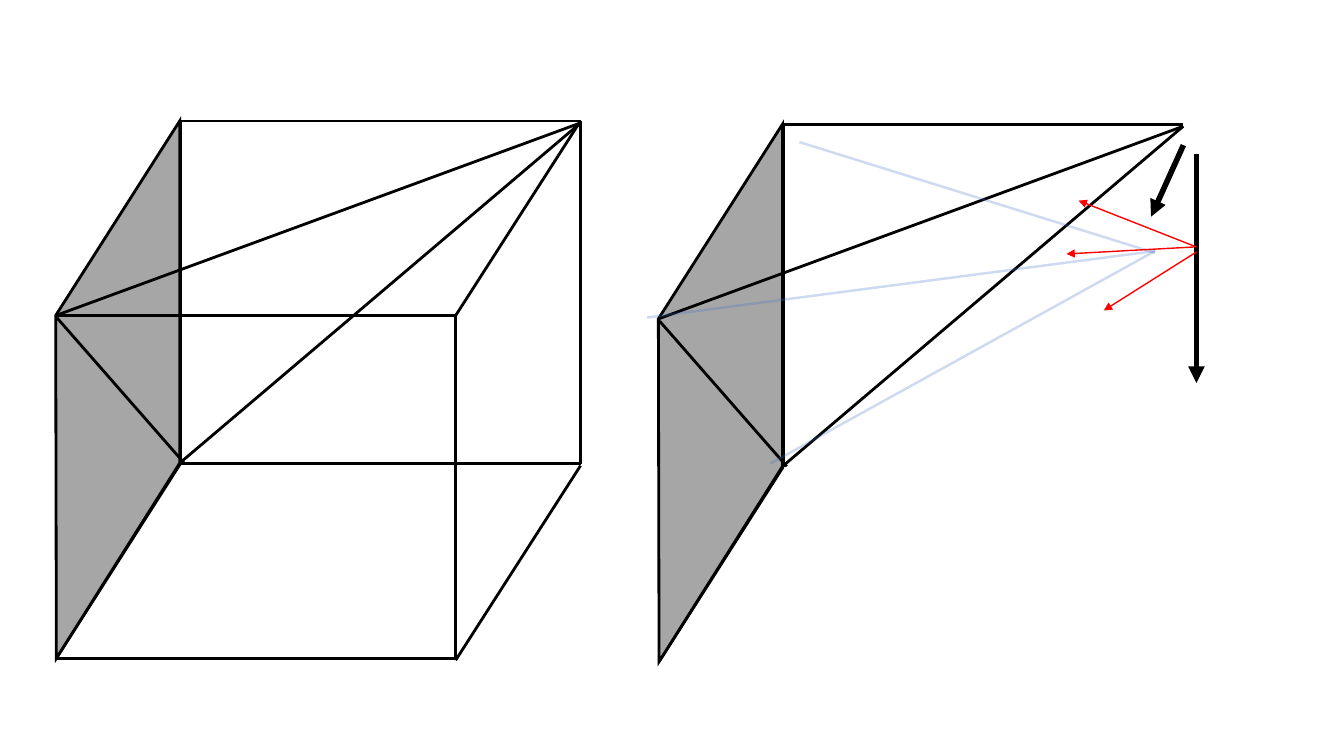
from lxml.etree import SubElement
from pptx import Presentation
from pptx.dml.color import RGBColor
from pptx.enum.shapes import MSO_CONNECTOR as Connector
from pptx.oxml.ns import qn
from pptx.util import Pt

BLACK, GREY, BLUE, RED = "000000", "A6A6A6", "4472C4", "FF0000"
LEFT, BACK_LEFT, RIGHT, BACK_RIGHT = 40.3, 128.9, 325.5, 414.7
BOTTOM, BACK_BOTTOM, TOP, BACK_TOP = 470.2, 331.2, 225.4, 86.4
PANEL = [(40.3, 470.2), (128.4, 330.8), (128.4, 86.4), (39.8, 225.4)]
APEX = (414.7, 87.8)
COPY_SHIFT = (430.5, 2.4)


def color(hex_text):
    return RGBColor.from_string(hex_text)


def moved(point, shift):
    return point[0] + shift[0], point[1] + shift[1]


def add_line(slide, start, end, line_color=BLACK, width=2, arrow=False, opacity=None):
    ends = [Pt(value) for value in (*start, *end)]
    connector = slide.shapes.add_connector(Connector.STRAIGHT, *ends)
    connector.line.color.rgb = color(line_color)
    connector.line.width = Pt(width)
    properties = connector._element.spPr
    outline = properties.find(qn("a:ln"))
    if opacity is not None:
        shade = outline.find(".//" + qn("a:srgbClr"))
        SubElement(shade, qn("a:alpha")).set("val", str(opacity * 1000))
    if arrow:
        SubElement(outline, qn("a:tailEnd")).set("type", "triangle")
    SubElement(properties, qn("a:effectLst"))


def add_panel(slide, points):
    corners = [(Pt(x), Pt(y)) for x, y in points]
    builder = slide.shapes.build_freeform(*corners[0])
    builder.add_line_segments(corners[1:], close=True)
    panel = builder.convert_to_shape()
    panel.shadow.inherit = False
    panel.fill.solid()
    panel.fill.fore_color.rgb = color(GREY)
    panel.line.color.rgb = color(BLACK)
    panel.line.width = Pt(2)
    outline = panel._element.spPr.find(qn("a:ln"))
    SubElement(outline, qn("a:miter")).set("lim", "800000")


def add_pyramid(slide, shift=(0, 0)):
    edges = [
        ((LEFT, BOTTOM), (LEFT, TOP)),
        ((BACK_LEFT, BACK_BOTTOM), (BACK_LEFT, BACK_TOP)),
        ((BACK_LEFT, BACK_TOP), (BACK_RIGHT, BACK_TOP)),
        ((LEFT, BOTTOM), (BACK_LEFT, BACK_BOTTOM)),
    ]
    diagonals = [
        (PANEL[1], APEX),
        (PANEL[3], APEX),
        ((40.7, 227), (131.5, 330.7)),
    ]
    for start, end in edges:
        add_line(slide, moved(start, shift), moved(end, shift))
    add_panel(slide, [moved(point, shift) for point in PANEL])
    for start, end in diagonals:
        add_line(slide, moved(start, shift), moved(end, shift))


def add_cube(slide):
    hidden_edges = [
        ((LEFT, BOTTOM), (RIGHT, BOTTOM)),
        ((BACK_LEFT, BACK_BOTTOM), (BACK_RIGHT, BACK_BOTTOM)),
        ((BACK_RIGHT, BACK_BOTTOM), (BACK_RIGHT, BACK_TOP)),
        ((RIGHT, BOTTOM), (RIGHT, TOP)),
        ((LEFT, TOP), (BACK_LEFT, BACK_TOP)),
        ((RIGHT, TOP), (BACK_RIGHT, BACK_TOP)),
        ((RIGHT, BOTTOM + 1.4), (BACK_RIGHT, BACK_BOTTOM + 1.4)),
    ]
    for start, end in hidden_edges:
        add_line(slide, start, end)
    add_pyramid(slide)
    add_line(slide, (LEFT, TOP), (RIGHT, TOP))


def add_motion(slide):
    motions = [((845.3, 103.7), (822.2, 154.8)), ((854.6, 110.2), (854.6, 273.6))]
    sight_lines = [
        ((462.2, 226.8), (825.1, 179.3)),
        ((571, 101.5), (825.1, 180.7)),
        ((550.1, 331.2), (825.1, 179.3)),
    ]
    rays = [
        ((854.6, 176.4), (770.4, 143.3)),
        ((853.2, 176.4), (761.8, 181.4)),
        ((854.6, 180), (788.4, 221.8)),
    ]
    for start, end in motions:
        add_line(slide, start, end, width=4, arrow=True)
    for start, end in sight_lines:
        add_line(slide, start, end, BLUE, 1.75, opacity=26)
    for start, end in rays:
        add_line(slide, start, end, RED, 1, arrow=True)


def main():
    deck = Presentation()
    deck.slide_width, deck.slide_height = Pt(960), Pt(540)
    slide = deck.slides.add_slide(deck.slide_layouts[6])
    add_cube(slide)
    add_pyramid(slide, COPY_SHIFT)
    add_motion(slide)
    deck.save("out.pptx")


if __name__ == "__main__":
    main()
